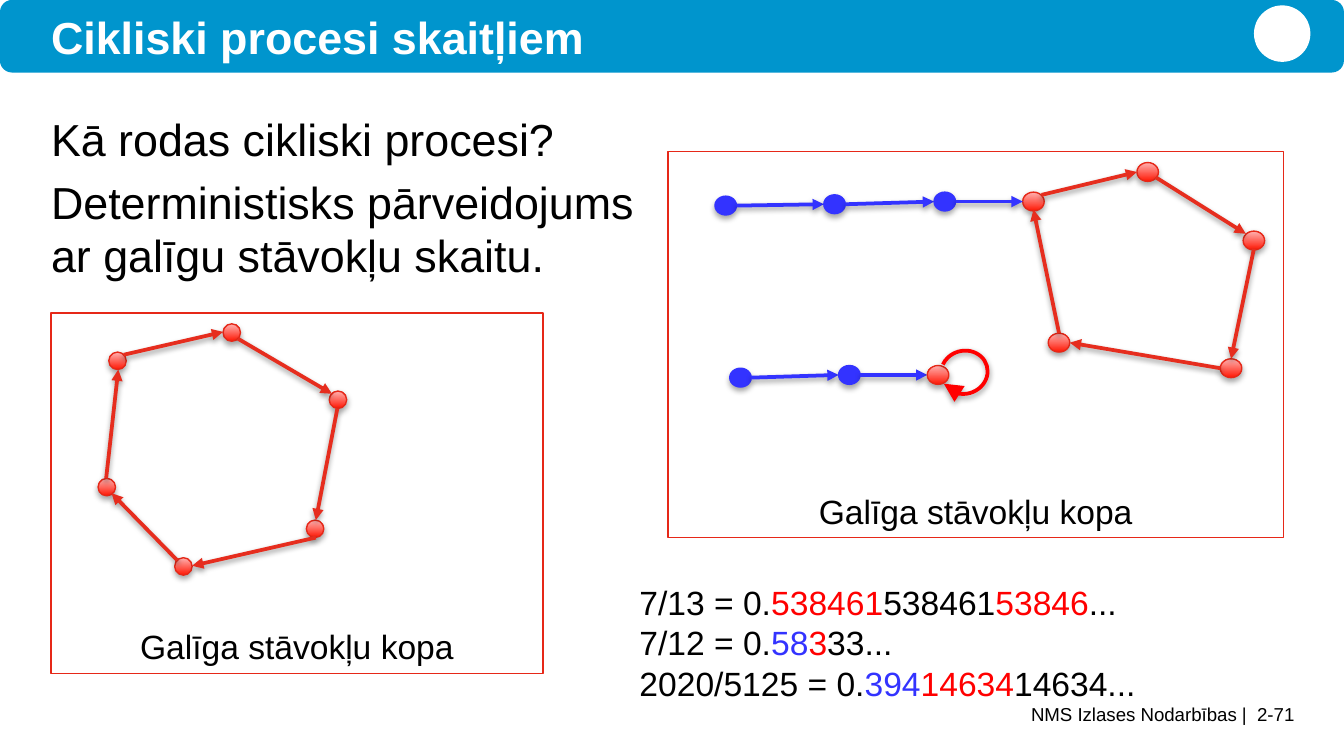
from lxml import etree
from pptx import Presentation
from pptx.dml.color import RGBColor as RGB
from pptx.enum.shapes import MSO_CONNECTOR as LINK, MSO_SHAPE as KIND
from pptx.enum.text import MSO_ANCHOR as ANCHOR, MSO_AUTO_SIZE as AUTO, PP_ALIGN as ALIGN
from pptx.oxml.ns import qn
from pptx.util import Inches, Pt

HUE = {
    "bar": "0095CD", "white": "FFFFFF", "black": "000000",
    "blue": "3333FF", "red": "FF0000", "edge": "E62818",
    "arrow": "E62D1E", "deep": "FF1805", "pale": "FFB2B1",
}
FONT = "Arial"
DOT_H = 0.14


def color(name):
    return RGB.from_string(HUE[name])


def sub(parent, tag, **attrs):
    node = etree.SubElement(parent, qn(tag))
    for key, value in attrs.items():
        node.set(key, str(value))
    return node


def shade(shape, alpha, dist):
    """Give a shape or line a soft shadow below it."""
    effects = sub(shape.element.spPr, "a:effectLst")
    cast = sub(effects, "a:outerShdw", blurRad=Pt(3.1), dist=Pt(dist),
               dir=90 * 60000, rotWithShape=0)
    tint = sub(cast, "a:srgbClr", val=HUE["black"])
    sub(tint, "a:alpha", val=alpha * 1000)


def stroke(shape, hue, width, head=None):
    """Set the line; head is the size of an arrowhead at its end."""
    shape.line.color.rgb = color(hue)
    shape.line.width = Pt(width)
    if head:
        sub(shape.element.spPr.find(qn("a:ln")), "a:tailEnd",
            type="triangle", w=head, len=head)


def write(frame, paras, size=18, hue="black", bold=False, align=ALIGN.LEFT,
          anchor=ANCHOR.TOP, before=0, inset=True, wrap=True):
    """Fill a text frame; a paragraph is a string or a list of (text, hue)."""
    frame.word_wrap = wrap
    frame.auto_size = AUTO.NONE if wrap else AUTO.SHAPE_TO_FIT_TEXT
    frame.vertical_anchor = anchor
    if not inset:
        frame.margin_left = frame.margin_right = 0
        frame.margin_top = frame.margin_bottom = 0
    for i, runs in enumerate(paras):
        para = frame.add_paragraph() if i else frame.paragraphs[0]
        para.alignment = align
        para.space_before = Pt(before)
        for text, tint in [(runs, hue)] if isinstance(runs, str) else runs:
            run = para.add_run()
            run.text = text
            run.font.name = FONT
            run.font.size = Pt(size)
            run.font.bold = bold
            run.font.color.rgb = color(tint)


def label(slide, at, paras, **form):
    box = slide.shapes.add_textbox(*map(Inches, at))
    write(box.text_frame, paras, **form)


def solid(slide, kind, at, hue):
    shape = slide.shapes.add_shape(kind, *map(Inches, at))
    shape.shadow.inherit = False
    shape.fill.solid()
    shape.fill.fore_color.rgb = color(hue)
    shape.line.fill.background()


def dot(slide, x, y, hue, wide=0.16, high=DOT_H):
    """A state: flat blue on the way in, shaded red inside a cycle."""
    shape = slide.shapes.add_shape(KIND.OVAL, *map(Inches, (x, y, wide, high)))
    if hue == "red":
        shape.fill.gradient()
        shape.fill.gradient_angle = 90
        for stop, tint in zip(shape.fill.gradient_stops, ("deep", "pale")):
            stop.color.rgb = color(tint)
        stroke(shape, "edge", 0.75)
    else:
        shape.fill.solid()
        shape.fill.fore_color.rgb = color(hue)
        stroke(shape, hue, 0.75)
    shade(shape, 35, 1.8)


def arrow(slide, x1, y1, x2, y2, hue="arrow"):
    line = slide.shapes.add_connector(
        LINK.STRAIGHT, *map(Inches, (x1, y1, x2, y2)))
    stroke(line, hue, 2, head="med")
    shade(line, 38, 1.6)


def ring(slide, dots, arrows, **size):
    for x, y in dots:
        dot(slide, x, y, "red", **size)
    for ends in arrows:
        arrow(slide, *ends)


def trail(slide, dots, goal):
    """Blue states joined side to side, leading to a red goal."""
    for (x1, y1), (x2, y2) in zip(dots, dots[1:] + [goal]):
        dot(slide, x1, y1, "blue")
        arrow(slide, x1 + 0.16, y1 + DOT_H / 2, x2, y2 + DOT_H / 2, "blue")


def loop(slide, at):
    arc = slide.shapes.add_shape(KIND.ARC, *map(Inches, at))
    arc.adjustments[0], arc.adjustments[1] = 129.62, 100.08
    arc.rotation = 344
    arc.fill.background()
    stroke(arc, "red", 2, head="lg")
    shade(arc, 38, 1.6)


def panel(slide, at):
    box = slide.shapes.add_shape(KIND.RECTANGLE, *map(Inches, at))
    box.shadow.inherit = False
    box.fill.background()
    stroke(box, "edge", 0.75)
    write(box.text_frame, ["Galīga stāvokļu kopa"],
          align=ALIGN.CENTER, anchor=ANCHOR.BOTTOM)


def main():
    # Widescreen, 16 to 9
    deck = Presentation()
    deck.slide_width = Inches(10)
    deck.slide_height = Inches(10) * 9 // 16
    slide = deck.slides.add_slide(deck.slide_layouts[6])

    # Title bar, emblem and footer
    solid(slide, KIND.ROUNDED_RECTANGLE, (0, 0, 10, 0.54), "bar")
    solid(slide, KIND.OVAL, (9.33, 0.04, 0.42, 0.42), "white")
    label(slide, (0.38, 0.07, 8.27, 0.42), ["Cikliski procesi skaitļiem"],
          size=24, hue="white", bold=True, inset=False)
    label(slide, (2.41, 5.23, 7.22, 0.33), ["NMS Izlases Nodarbības |  2-71"],
          size=10, align=ALIGN.RIGHT, inset=False)

    # Question and answer
    label(slide, (0.38, 0.83, 4.43, 1.26),
          ["Kā rodas cikliski procesi?",
           "Deterministisks pārveidojums ar galīgu stāvokļu skaitu."],
          size=24, before=4.8, inset=False)

    # Left: a pure cycle of six states
    ring(slide,
         [(0.81, 2.62), (1.66, 2.41), (2.45, 2.91),
          (2.28, 3.87), (1.3, 4.15), (0.73, 3.56)],
         [(0.92, 2.64, 1.66, 2.47), (1.77, 2.52, 2.47, 2.93),
          (2.51, 3.04, 2.35, 3.87), (2.35, 4, 1.43, 4.21),
          (1.32, 4.17, 0.83, 3.67), (0.79, 3.56, 0.88, 2.75)],
         wide=0.13, high=0.13)
    panel(slide, (0.38, 2.33, 3.66, 2.68))

    # Right: trails that lead into a cycle of five and a loop of one
    gate, fixed = (7.61, 1.43), (6.9, 2.72)
    ring(slide,
         [gate, (8.46, 1.21), (9.25, 1.72), (9.08, 2.67), (7.8, 2.48)],
         [(7.75, 1.45, 8.46, 1.28), (8.6, 1.32, 9.27, 1.74),
          (9.33, 1.85, 9.16, 2.67), (9.08, 2.74, 7.96, 2.55),
          (7.88, 2.48, 7.69, 1.56)])
    panel(slide, (4.97, 1.13, 4.58, 2.87))
    trail(slide, [(5.32, 1.46), (6.13, 1.45), (6.95, 1.43)], gate)
    trail(slide, [(5.43, 2.74), (6.24, 2.72)], fixed)
    dot(slide, *fixed, "red")
    loop(slide, (7, 2.61, 0.35, 0.32))

    # Decimal expansions with their periods
    label(slide, (4.66, 4.28, 3.93, 1.01), [
        [("7/13 = 0.", "black"), ("538461", "red"), ("538461", "black"),
         ("53846", "red"), ("...", "black")],
        [("7/12 = 0.", "black"), ("58", "blue"), ("3", "red"),
         ("33...", "black")],
        [("2020/5125 = 0.", "black"), ("394", "blue"), ("14634", "red"),
         ("14634...", "black")],
    ], wrap=False)

    deck.save("out.pptx")


if __name__ == "__main__":
    main()
